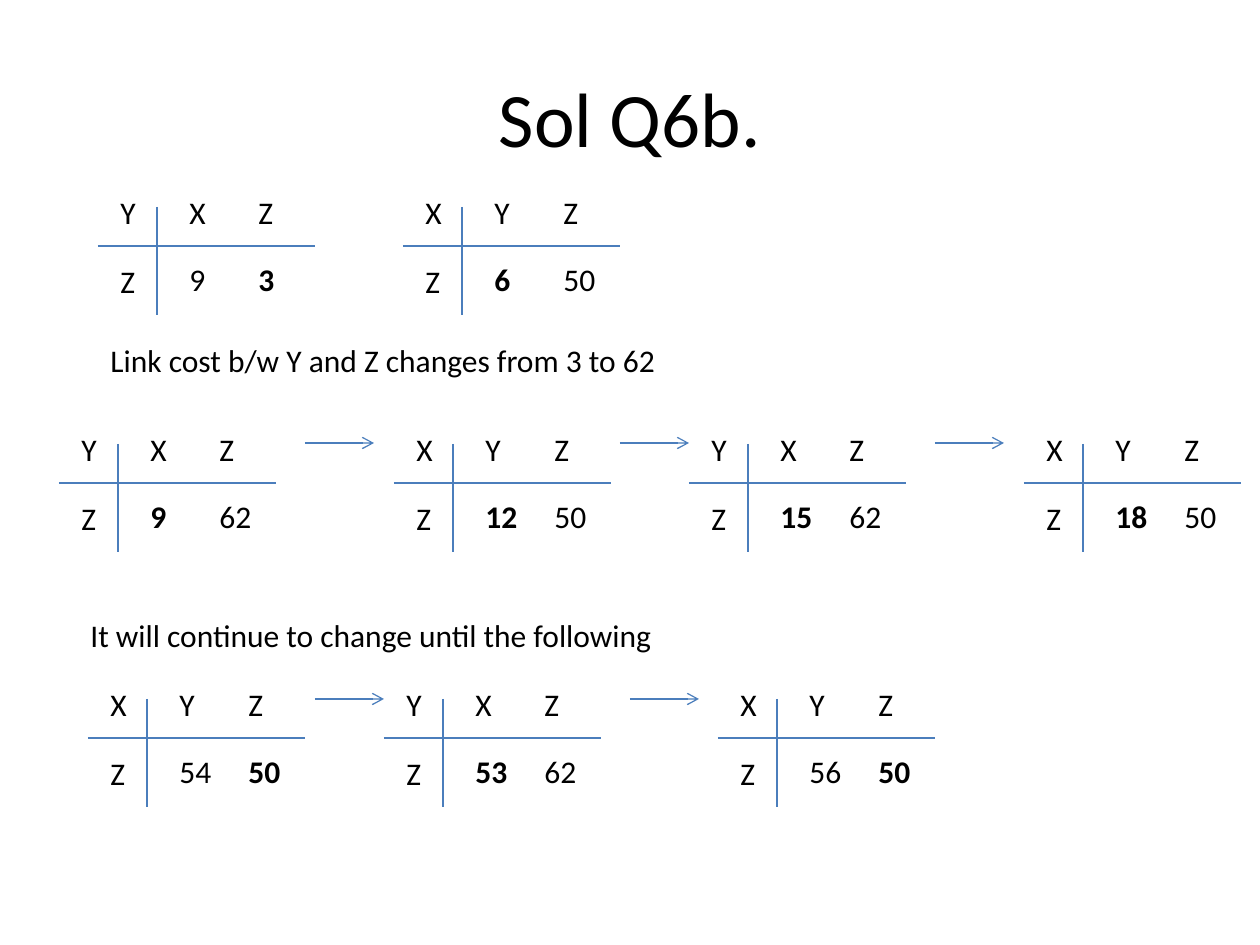
from lxml import etree
from pptx import Presentation
from pptx.dml.color import RGBColor
from pptx.enum.shapes import MSO_CONNECTOR
from pptx.enum.text import MSO_ANCHOR, PP_ALIGN
from pptx.oxml.ns import qn
from pptx.util import Pt

PX = 914400 // 126
COLORS = {"text": "000000", "line": "4B7EBC"}
FONT = "Calibri"


def add_line(shapes, x1, y1, x2, y2, arrow=False):
    """Add a thin straight line, with an open arrowhead at its end if asked."""
    line = shapes.add_connector(
        MSO_CONNECTOR.STRAIGHT, x1 * PX, y1 * PX, x2 * PX, y2 * PX)
    line.line.color.rgb = RGBColor.from_string(COLORS["line"])
    line.line.width = Pt(0.75)
    if arrow:
        etree.SubElement(line.line._get_or_add_ln(), qn("a:tailEnd"), type="arrow")
    etree.SubElement(line._element.spPr, qn("a:effectLst"))


def add_text(shapes, x, y, width, text, bold=False):
    """Add one line of 18 point text."""
    frame = shapes.add_textbox(x * PX, y * PX, width * PX, 50 * PX).text_frame
    frame.word_wrap = True
    run = frame.paragraphs[0].add_run()
    run.text = text
    run.font.name = FONT
    run.font.size = Pt(18)
    run.font.bold = bold
    run.font.color.rgb = RGBColor.from_string(COLORS["text"])


prs = Presentation()
prs.slide_width, prs.slide_height = 1260 * PX, 945 * PX
slide = prs.slides.add_slide(prs.slide_layouts[5])

title = slide.shapes.title
title.left, title.top, title.width, title.height = (
    v * PX for v in (63, 38, 1134, 157))
title.text_frame.text = "Sol Q6b."
title.text_frame.vertical_anchor = MSO_ANCHOR.MIDDLE
heading = title.text_frame.paragraphs[0]
heading.alignment = PP_ALIGN.CENTER
heading.font.name = FONT
heading.font.size = Pt(44)
heading.font.color.rgb = RGBColor.from_string(COLORS["text"])

# Each row: y of the rule, then tables as (left, node, costs, index of bold cost)
table_rows = [
    (246, [(98, "Y", ("9", "3"), 1), (403, "X", ("6", "50"), 0)]),
    (483, [(59, "Y", ("9", "62"), 0), (394, "X", ("12", "50"), 0),
           (689, "Y", ("15", "62"), 0), (1024, "X", ("18", "50"), 0)]),
    (738, [(88, "X", ("54", "50"), 1), (384, "Y", ("53", "62"), 0),
           (718, "X", ("56", "50"), 1)]),
]
for rule_y, tables in table_rows:
    for left, node, costs, bold_index in tables:
        table = slide.shapes.add_group_shape().shapes
        add_line(table, left, rule_y, left + 217, rule_y)
        add_line(table, left + 59, rule_y - 39, left + 59, rule_y + 69)
        add_text(table, left + 10, rule_y - 59, 29, node)
        add_text(table, left + 10, rule_y + 10, 29, "Z")
        neighbours = ("X" if node == "Y" else "Y", "Z")
        for i, (neighbour, cost) in enumerate(zip(neighbours, costs)):
            column_x = left + 79 + 69 * i
            add_text(table, column_x, rule_y - 59, 59, neighbour)
            add_text(table, column_x, rule_y + 8, 59, cost, i == bold_index)

for arrow_y, starts in [(443, (305, 620, 935)), (699, (315, 630))]:
    for start in starts:
        add_line(slide.shapes, start, arrow_y, start + 69, arrow_y, arrow=True)

add_text(slide.shapes, 98, 335, 601, "Link cost b/w Y and Z changes from 3 to 62")
add_text(slide.shapes, 78, 610, 601, "It will continue to change until the following")

prs.save("out.pptx")
